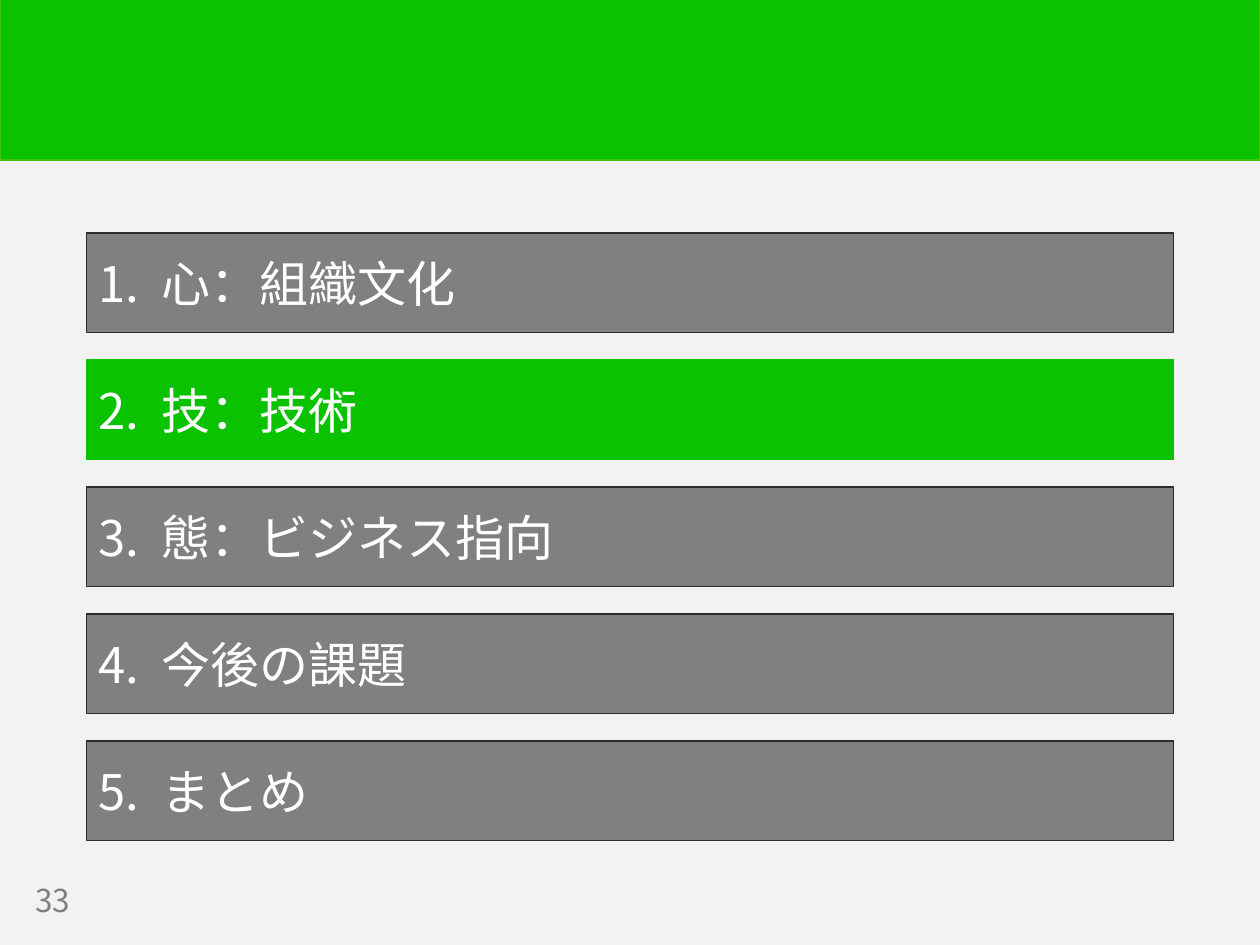
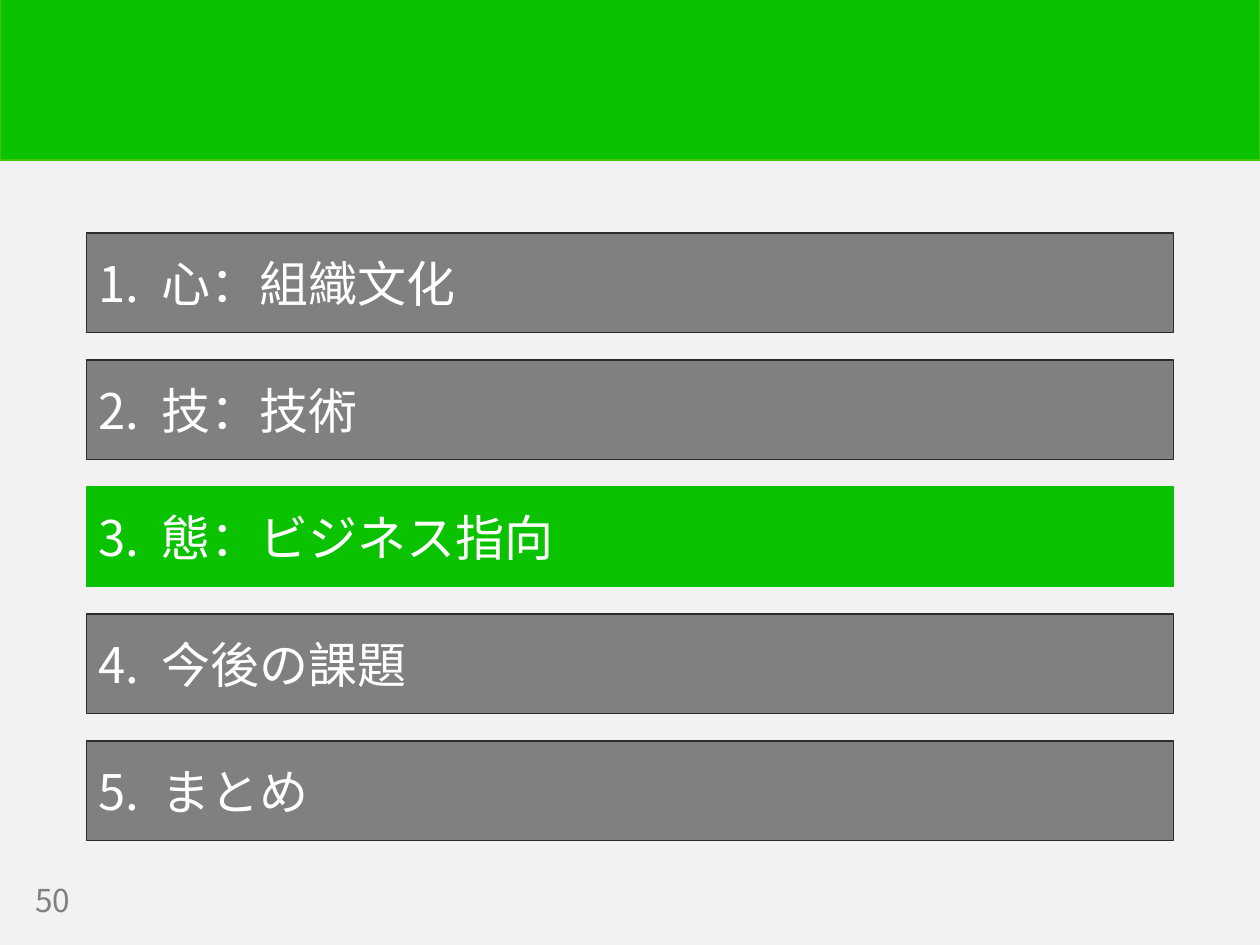
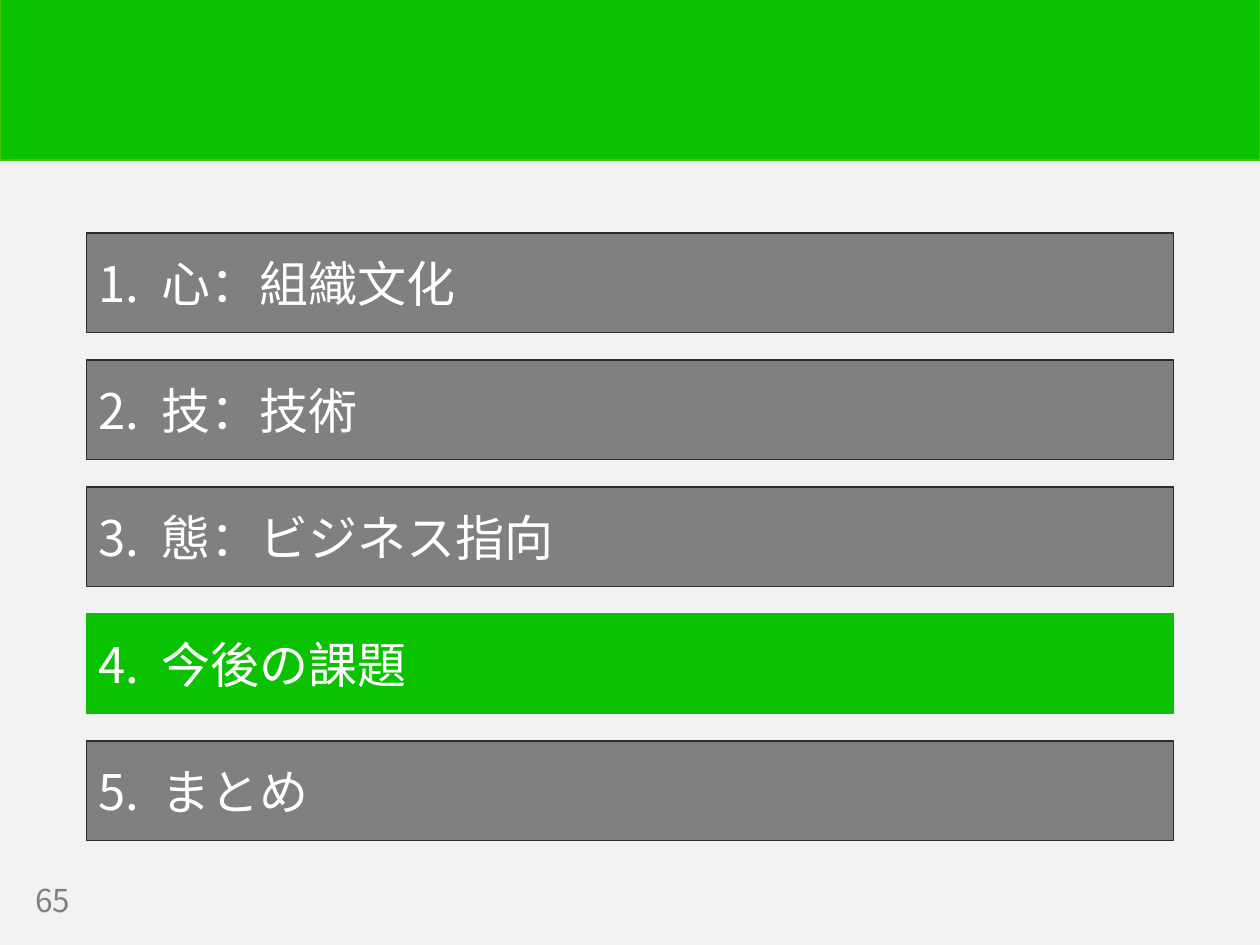
from lxml import etree
from pptx import Presentation
from pptx.dml.color import RGBColor
from pptx.enum.shapes import MSO_SHAPE
from pptx.enum.text import MSO_ANCHOR, PP_ALIGN
from pptx.oxml.ns import qn
from pptx.util import Cm, Pt

RECT = MSO_SHAPE.RECTANGLE
MIDDLE = MSO_ANCHOR.MIDDLE
LEFT = PP_ALIGN.LEFT

FONT = "Noto Sans CJK JP"
COLORS = {
    "back": "F2F2F2",
    "green": "0AC200",
    "edge": "44C404",
    "gray": "808080",
    "dark": "2C2C2C",
    "white": "FFFFFF",
}
TOPICS = ["心：組織文化", "技：技術", "態：ビジネス指向", "今後の課題", "まとめ"]
AGENDAS = [(33, 2), (50, 3), (65, 4)]
BAR_TOP = 4.7
BAR_STEP = 2.56
TAB_POS = 1.27


def rgb(name):
    return RGBColor.from_string(COLORS[name])


def add_rect(slide, left, top, width, height, fill, line, weight):
    shape = slide.shapes.add_shape(RECT, Cm(left), Cm(top), Cm(width), Cm(height))
    shape.shadow.inherit = False
    shape.fill.solid()
    shape.fill.fore_color.rgb = rgb(fill)
    shape.line.color.rgb = rgb(line)
    shape.line.width = Pt(weight)
    return shape


def set_text(shape, text, size, color):
    frame = shape.text_frame
    frame.word_wrap = True
    frame.vertical_anchor = MIDDLE
    para = frame.paragraphs[0]
    para.text = text
    para.alignment = LEFT
    props = para._p.get_or_add_pPr()
    if "\t" in text:
        tabs = etree.SubElement(props, qn("a:tabLst"))
        etree.SubElement(tabs, qn("a:tab"), pos=str(Cm(TAB_POS)), algn="l")
    font = para.font
    font.size = Pt(size)
    font.color.rgb = rgb(color)
    font.name = FONT
    etree.SubElement(props.find(qn("a:defRPr")), qn("a:ea"), typeface=FONT)


def add_band(slide):
    add_rect(slide, 0, -0.03, 25.4, 3.25, "green", "edge", 1)


def add_page(slide, number):
    box = slide.shapes.add_textbox(Cm(0.46), Cm(17.65), Cm(2), Cm(1))
    set_text(box, str(number), 18, "gray")


def add_bar(slide, number, topic, active):
    fill, line = ("green", "green") if active else ("gray", "dark")
    top = BAR_TOP + (number - 1) * BAR_STEP
    bar = add_rect(slide, 1.74, top, 21.92, 2, fill, line, 0.75)
    set_text(bar, f"{number}.\t{topic}", 28, "white")


def add_agenda(deck, page, current):
    slide = deck.slides.add_slide(deck.slide_layouts[6])
    add_band(slide)
    add_page(slide, page)
    for number, topic in enumerate(TOPICS, 1):
        add_bar(slide, number, topic, number == current)


def main():
    deck = Presentation()
    deck.slide_width = Cm(25.4)
    deck.slide_height = Cm(19.05)
    back = deck.slide_master.background.fill
    back.solid()
    back.fore_color.rgb = rgb("back")
    for page, current in AGENDAS:
        add_agenda(deck, page, current)
    deck.save("out.pptx")


if __name__ == "__main__":
    main()
